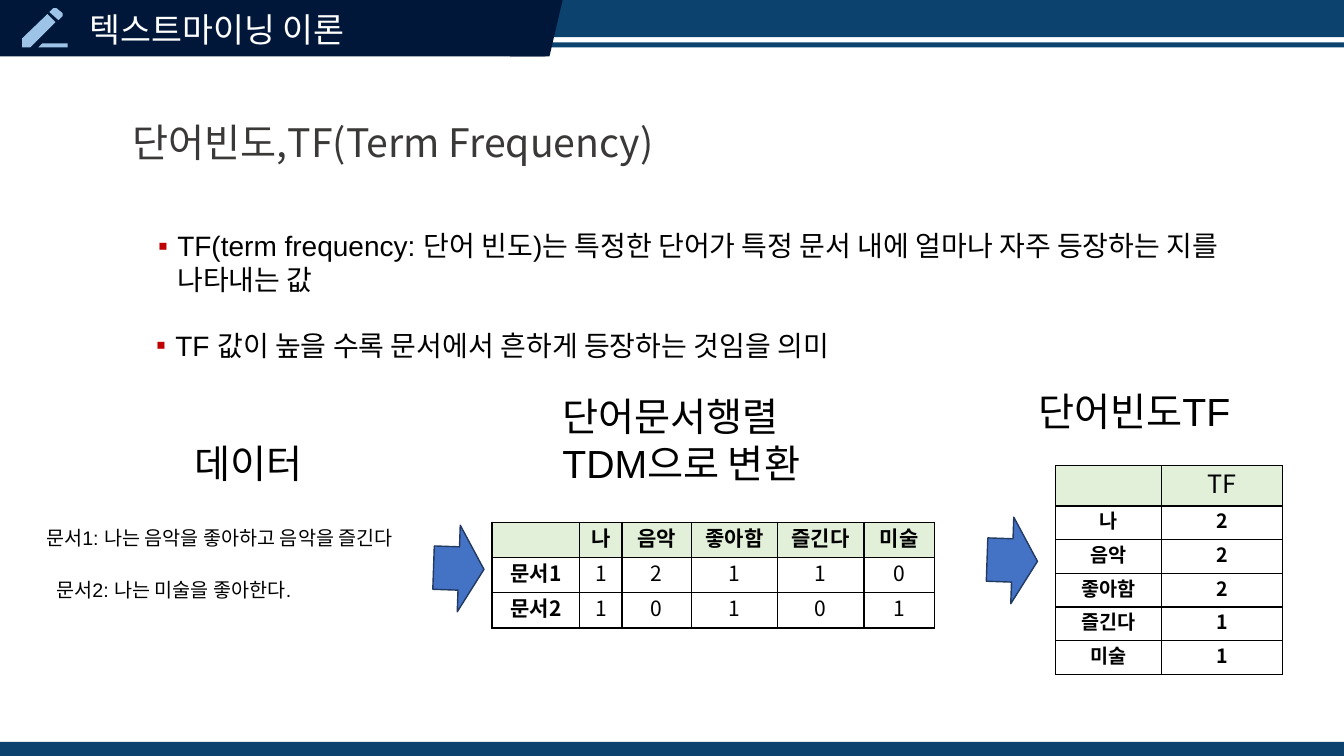
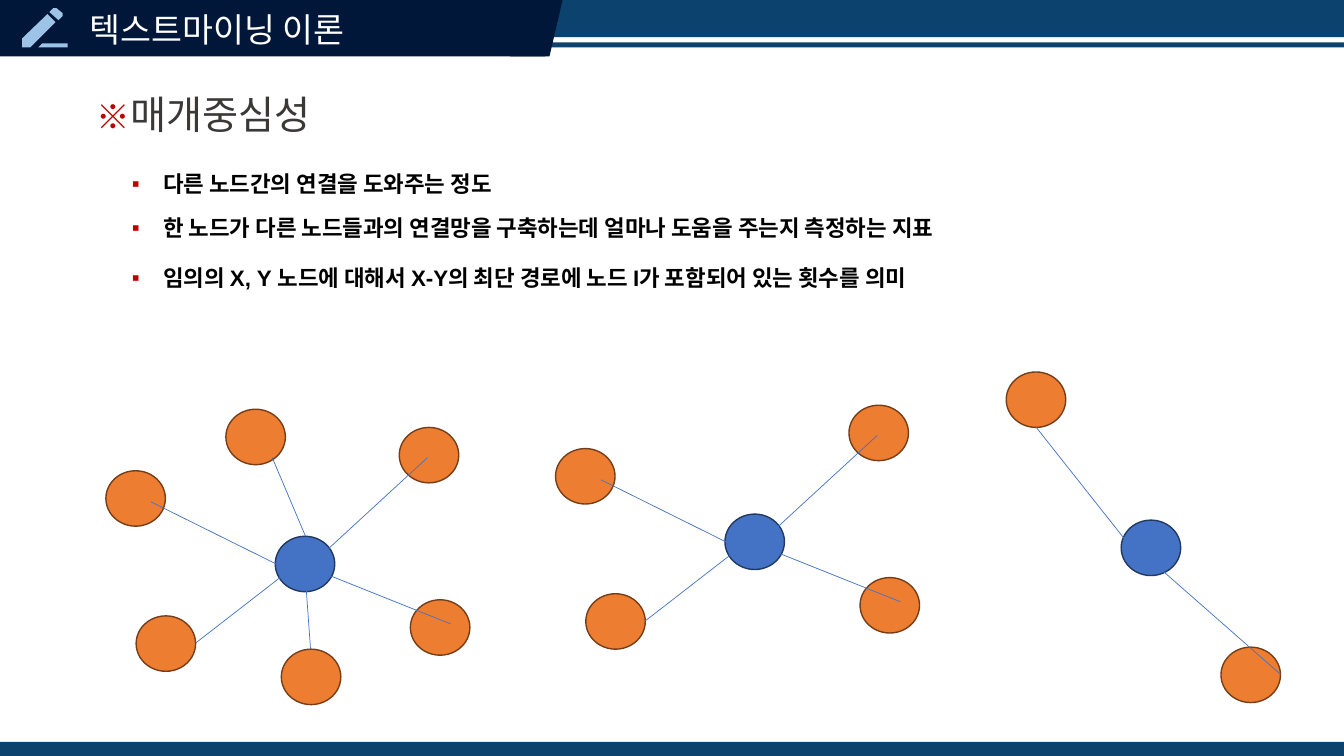
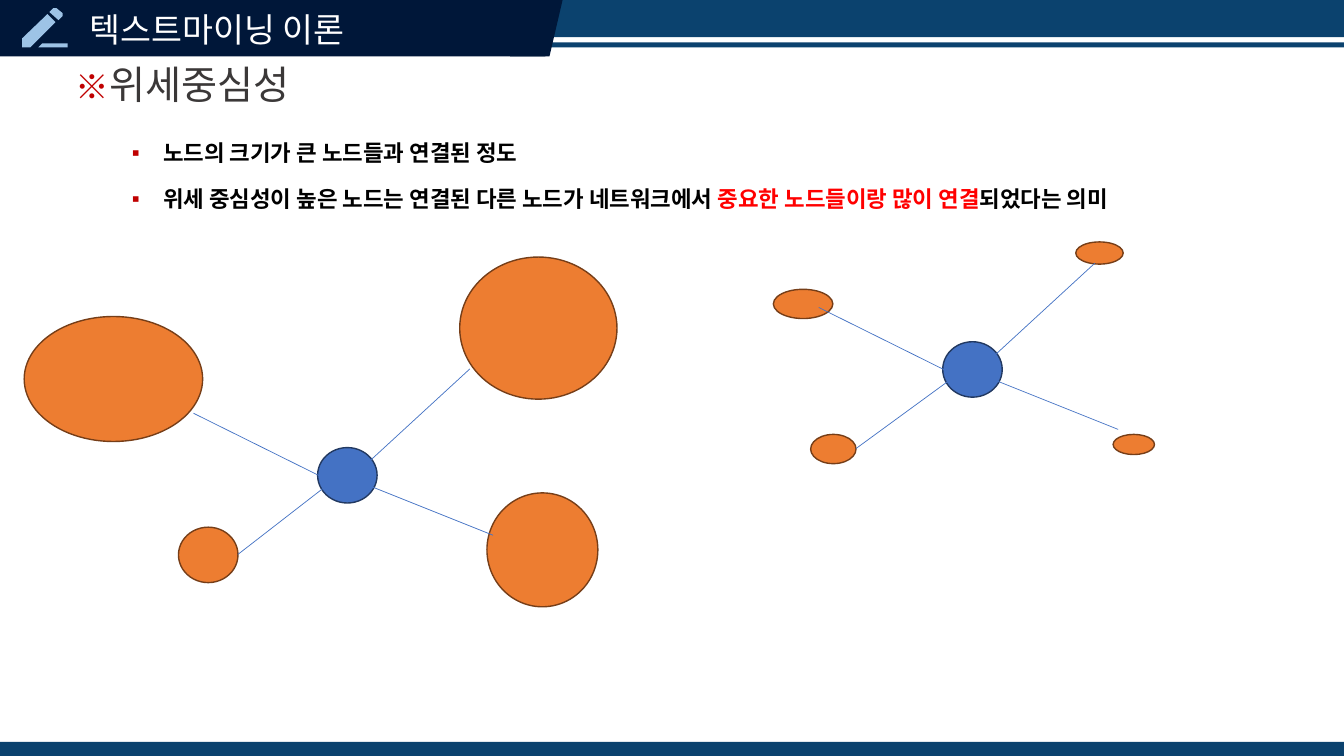
from dataclasses import dataclass

from lxml.etree import SubElement as Sub
from pptx import Presentation
from pptx.dml.color import RGBColor as RGB
from pptx.enum.shapes import MSO_CONNECTOR as Line, MSO_SHAPE as Geo
from pptx.enum.text import MSO_ANCHOR as Anchor, PP_ALIGN as Align
from pptx.oxml.ns import qn
from pptx.util import Pt

PX = 9144  # 100 px to the inch


@dataclass(frozen=True)
class Theme:
    sans: str = "Noto Sans CJK KR"
    body: str = "Arial"
    band: str = "0B426E"
    navy: str = "001739"
    pen: str = "9DC3E6"
    white: str = "FFFFFF"
    black: str = "000000"
    title: str = "3B3838"
    mark: str = "C00000"
    alert: str = "FF0000"
    blue: str = "4472C4"
    blue_edge: str = "223961"
    orange: str = "ED7D31"
    orange_edge: str = "763E18"
    green: str = "E2F0D9"
    h1: int = 28
    h2: int = 24
    text: int = 20
    th: int = 18
    item: int = 16
    cell: int = 15
    note: int = 14
    lead: float = 1.2


PEN = [
    [(22, 38), (22, 47), (30, 47), (55, 22), (47, 14)],
    [(62, 16), (62, 13), (56, 8), (53, 8), (49, 12), (58, 20)],
    [(42, 43), (38, 47), (67, 47), (67, 43)],
]

# Every star is measured from the top left corner of its hub.
HUB = (59, 55)
ARMS = [
    (51, 14, 151, -78),
    (18, 36, -123, -34),
    (44, 35, 174, 87),
    (19, 30, -79, 106),
]
TIPS = [(123, -108, *HUB), (-168, -65, *HUB), (134, 63, *HUB), (-138, 79, *HUB)]


class Deck:
    def __init__(self, theme):
        self.t = theme
        self.prs = Presentation()
        self.prs.slide_width = 1333 * PX
        self.prs.slide_height = 750 * PX
        self.slide = None

    def page(self, head):
        """Start a slide with the shared bands, pencil and heading."""
        t = self.t
        self.slide = self.prs.slides.add_slide(self.prs.slide_layouts[6])
        self.shape((-2, 736, 1335, 17), t.band)
        self.shape((-2, 42, 1335, 5), t.band)
        self.shape((0, 0, 1335, 37), t.band)
        self.shape((-2, 0, 543, 56), t.navy)
        self.shape((506, 0, 52, 56), t.navy, geo=Geo.PARALLELOGRAM)
        self.text((79, 0, 672, 58), t.h2, head, font=t.sans,
                  color=t.white, anchor=Anchor.MIDDLE)
        self.icon(PEN, t.pen)

    def paint(self, shape, fill, edge=None):
        shape.shadow.inherit = False
        shape.fill.solid()
        shape.fill.fore_color.rgb = RGB.from_string(fill)
        if edge:
            shape.line.color.rgb = RGB.from_string(edge)
            shape.line.width = Pt(1)
        else:
            shape.line.fill.background()

    def shape(self, box, fill, edge=None, geo=Geo.RECTANGLE, turn=0):
        shape = self.slide.shapes.add_shape(geo, *(n * PX for n in box))
        shape.rotation = turn
        self.paint(shape, fill, edge)

    def icon(self, rings, fill):
        """Draw closed outlines as one shape."""
        first, *rest = rings
        pen = self.slide.shapes.build_freeform(*first[0], scale=PX)
        pen.add_line_segments(first[1:])
        for ring in rest:
            pen.move_to(*ring[0])
            pen.add_line_segments(ring[1:])
        self.paint(pen.convert_to_shape(), fill)

    def style(self, para, size, font, color, bold=False):
        """Set the paragraph font, for Latin and Korean, and the line pitch."""
        para.line_spacing = Pt(round(size * self.t.lead, 1))
        face = para.font
        face.size, face.bold, face.name = Pt(size), bold, font
        face.color.rgb = RGB.from_string(color)
        props = para._p.get_or_add_pPr().find(qn("a:defRPr"))
        Sub(props, qn("a:ea"), typeface=self.t.sans)

    def bullet(self, para, hang):
        props = para._p.get_or_add_pPr()
        props.set("marL", str(hang * PX))
        props.set("indent", str(-hang * PX))
        Sub(Sub(props, qn("a:buClr")), qn("a:srgbClr"), val=self.t.mark)
        Sub(props, qn("a:buFont"), typeface=self.t.body)
        Sub(props, qn("a:buChar"), char="▪")

    def text(self, box, size, *parts, font=None, color=None, bold=False,
             hang=0, anchor=Anchor.TOP):
        """Add one paragraph; a part is text or (text, color, size, bold)."""
        frame = self.slide.shapes.add_textbox(*(n * PX for n in box)).text_frame
        frame.word_wrap = True
        frame.vertical_anchor = anchor
        para = frame.paragraphs[0]
        if hang:
            self.bullet(para, hang)
        self.style(para, size, font or self.t.body, color or self.t.black, bold)
        for part in parts:
            run = para.add_run()
            if isinstance(part, str):
                run.text = part
            else:
                run.text, tint, points, run.font.bold = part
                run.font.size = Pt(points)
                run.font.color.rgb = RGB.from_string(tint)

    def title(self, x, y, words):
        t = self.t
        self.text((x, y, 1244, 56), t.h1, ("※", t.mark, t.h2, True), words,
                  font=t.sans, color=t.title)

    def item(self, y, *parts):
        self.text((121, y, 1111, 34), self.t.item, *parts, bold=True, hang=31)

    def arrow(self, x, y):
        self.shape((x, y, 50, 86), self.t.blue, self.t.blue_edge,
                   Geo.RIGHT_ARROW, turn=2)

    def line(self, x1, y1, x2, y2):
        line = self.slide.shapes.add_connector(
            Line.STRAIGHT, *(n * PX for n in (x1, y1, x2, y2)))
        line.line.color.rgb = RGB.from_string(self.t.blue)
        line.line.width = Pt(0.5)
        Sub(line._element.spPr, qn("a:effectLst"))

    def star(self, x, y, tips, arms):
        """Draw a hub at x, y with its outer nodes and joining lines."""
        t = self.t
        for dx, dy, w, h in tips:
            self.shape((x + dx, y + dy, w, h), t.orange, t.orange_edge, Geo.OVAL)
        self.shape((x, y, *HUB), t.blue, t.blue_edge, Geo.OVAL)
        for x1, y1, x2, y2 in arms:
            self.line(x + x1, y + y1, x + x2, y + y2)

    def table(self, x, y, cols, rows, data, look):
        """Fill a grid; look(row, col) gives type size and bold."""
        grid = self.slide.shapes.add_table(
            len(rows), len(cols), x * PX, y * PX,
            sum(cols) * PX, sum(rows) * PX).table
        grid.first_row = grid.horz_banding = False
        for col, width in zip(grid.columns, cols):
            col.width = width * PX
        for row, height in zip(grid.rows, rows):
            row.height = height * PX
        for r, words in enumerate(data):
            for c, word in enumerate(words):
                cell = grid.cell(r, c)
                cell.text = word
                self.edges(cell)
                cell.fill.solid()
                cell.fill.fore_color.rgb = RGB.from_string(
                    self.t.white if r else self.t.green)
                para = cell.text_frame.paragraphs[0]
                para.alignment = Align.CENTER
                size, bold = look(r, c)
                self.style(para, size, self.t.sans, self.t.black, bold)

    def edges(self, cell):
        props = cell._tc.get_or_add_tcPr()
        for side in ("a:lnL", "a:lnR", "a:lnT", "a:lnB"):
            edge = Sub(props, qn(side), w=str(Pt(1)))
            Sub(Sub(edge, qn("a:solidFill")), qn("a:srgbClr"), val=self.t.black)


def count(deck):
    """Term frequency, from documents to matrix to totals."""
    t = deck.t
    deck.text((122, 113, 623, 57), t.h1, "단어빈도,TF(Term Frequency)",
              font=t.sans, color=t.title)
    deck.text((147, 222, 1086, 77), t.text,
              "TF(term frequency: 단어 빈도)는 특정한 단어가 특정 문서 내에 "
              "얼마나 자주 등장하는 지를 나타내는 값", hang=19)
    deck.text((145, 321, 853, 43), t.text,
              "TF 값이 높을 수록 문서에서 흔하게 등장하는 것임을 의미", hang=19)
    for box, words in [
        ((183, 431, 196, 57), "데이터"),
        ((548, 384, 304, 104), "단어문서행렬TDM으로 변환"),
        ((1020, 379, 265, 57), "단어빈도TF"),
    ]:
        deck.text(box, t.h1, words)
    deck.text((36, 517, 416, 34), t.note, "문서1: 나는 음악을 좋아하고 음악을 즐긴다")
    deck.text((46, 568, 316, 34), t.note, "문서2: 나는 미술을 좋아한다.")
    deck.arrow(430, 521)
    deck.arrow(979, 513)

    terms = ["나", "음악", "좋아함", "즐긴다", "미술"]
    docs = {"문서1": "12110", "문서2": "10101"}
    sums = [str(sum(map(int, col))) for col in zip(*docs.values())]
    deck.table(1047, 462, [105, 120], [40] + [33] * 5,
               [["", "TF"], *zip(terms, sums)],
               lambda r, c: (t.note, True) if r else (t.th, False))
    deck.table(488, 518, [87, 42, 69, 85, 86, 70], [35] * 3,
               [["", *terms], *([doc, *row] for doc, row in docs.items())],
               lambda r, c: (t.cell, r == 0 or c == 0))


def between(deck):
    """Betweenness centrality."""
    deck.title(86, 85, "매개중심성")
    deck.item(164, "다른 노드간의 연결을 도와주는 정도")
    deck.item(208, "한 노드가 다른 노드들과의 연결망을 구축하는데 "
                   "얼마나 도움을 주는지 측정하는 지표")
    deck.item(257, "임의의 X, Y 노드에 대해서 X-Y의 최단 경로에 "
                   "노드 I가 포함되어 있는 횟수를 의미")
    deck.star(273, 532, TIPS + [(6, 112, *HUB), (-49, -126, *HUB)],
              ARMS + [(28, 14, 35, 112), (30, 0, -3, -78)])
    deck.star(719, 510, TIPS, ARMS)
    deck.star(1112, 516, [(-114, -147, *HUB), (99, 126, *HUB)],
              [(17, 36, -85, -93), (18, 30, 158, 153)])


def prestige(deck):
    """Eigenvector centrality: large and small neighbours."""
    t = deck.t
    deck.title(65, 55, "위세중심성")
    deck.item(133, "노드의 크기가 큰 노드들과 연결된 정도")
    deck.item(179, "위세 중심성이 높은 노드는 연결된 다른 노드가 네트워크에서 ",
              ("중요한 노드들이랑 많이 연결", t.alert, t.item, True),
              "되었다는 의미")
    large = [(141, -189, 156, 141), (-291, -130, 177, 124),
             (168, 45, 110, 113), (-138, 79, *HUB)]
    small = [(132, -99, 47, 22), (-168, -52, 59, 29),
             (169, 92, 41, 20), (-131, 92, 45, 29)]
    deck.star(315, 444, large, ARMS)
    deck.star(935, 339, small, ARMS[:3] + [(18, 30, -86, 106)])


def main():
    deck = Deck(Theme())
    for draw in (count, between, prestige):
        deck.page("텍스트마이닝 이론")
        draw(deck)
    deck.prs.save("out.pptx")


if __name__ == "__main__":
    main()
